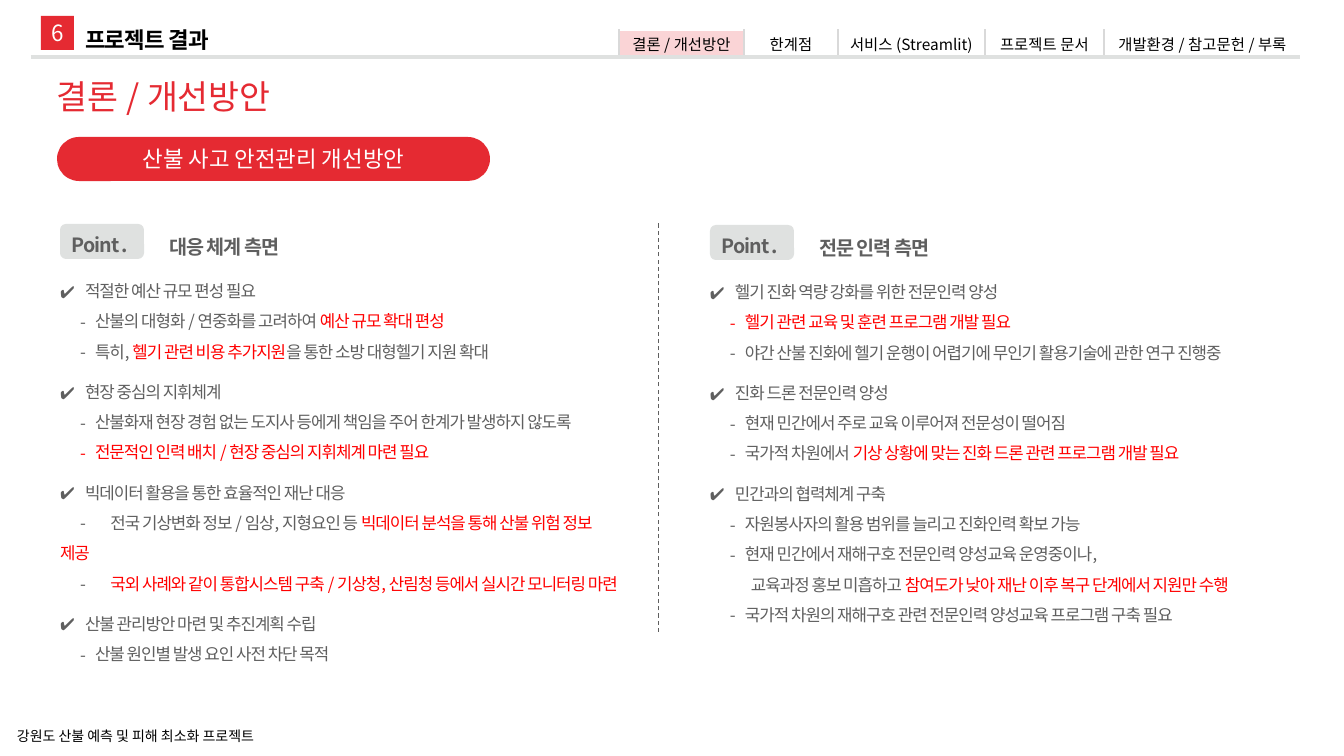
from lxml import etree
from pptx import Presentation
from pptx.dml.color import RGBColor
from pptx.enum.dml import MSO_LINE_DASH_STYLE as DASH
from pptx.enum.shapes import MSO_CONNECTOR, MSO_SHAPE as SHAPE
from pptx.enum.text import MSO_ANCHOR as ANCHOR, PP_ALIGN as ALIGN
from pptx.oxml.ns import qn
from pptx.util import Pt

PX = 914400 / 100.8
FONT = "Noto Sans CJK KR"
RED = RGBColor(0xE5, 0x2A, 0x32)
BRIGHT_RED = RGBColor(0xFF, 0x00, 0x00)
PINK = RGBColor(0xFA, 0xD4, 0xD6)
RULE_GRAY = RGBColor(0xDF, 0xE1, 0xE0)
TAB_GRAY = RGBColor(0xD9, 0xD9, 0xD9)
TEXT_GRAY = RGBColor(0x5F, 0x5F, 0x5F)
BLACK = RGBColor(0x00, 0x00, 0x00)
WHITE = RGBColor(0xFF, 0xFF, 0xFF)

TABS = [("결론 / 개선방안", 125), ("한계점", 94), ("서비스 (Streamlit)", 147),
        ("프로젝트 문서", 119), ("개발환경 / 참고문헌 / 부록", 197)]

INDENTS = {"check": (25, -25), "dash": (35, -15), "wrapped": (0, 20), "more": (41, 0)}
BULLETS = {"check": "✔", "dash": "-"}

RESPONSE = ("대응 체계 측면", [
    ("check", "적절한 예산 규모 편성 필요"),
    ("dash", "산불의 대형화 / 연중화를 고려하여 ", "예산 규모 확대 편성"),
    ("dash", "특히, ", "헬기 관련 비용 추가지원", "을 통한 소방 대형헬기 지원 확대"),
    ("check", "현장 중심의 지휘체계"),
    ("dash", "산불화재 현장 경험 없는 도지사 등에게 책임을 주어 한계가 발생하지 않도록"),
    ("dash", "", "전문적인 인력 배치 / 현장 중심의 지휘체계 마련 필요"),
    ("check", "빅데이터 활용을 통한 효율적인 재난 대응"),
    ("wrapped", "-\t전국 기상변화 정보 / 임상, 지형요인 등 ",
     "빅데이터 분석을 통해 산불 위험 정보 제공"),
    ("wrapped", "-\t",
     "국외 사례와 같이 통합시스템 구축 / 기상청, 산림청 등에서 실시간 모니터링 마련"),
    ("check", "산불 관리방안 마련 및 추진계획 수립"),
    ("dash", "산불 원인별 발생 요인 사전 차단 목적"),
])
EXPERTS = ("전문 인력 측면", [
    ("check", "헬기 진화 역량 강화를 위한 전문인력 양성"),
    ("dash", "", "헬기 관련 교육 및 훈련 프로그램 개발 필요"),
    ("dash", "야간 산불 진화에 헬기 운행이 어렵기에 무인기 활용기술에 관한 연구 진행중"),
    ("check", "진화 드론 전문인력 양성"),
    ("dash", "현재 민간에서 주로 교육 이루어져 전문성이 떨어짐"),
    ("dash", "국가적 차원에서 ", "기상 상황에 맞는 진화 드론 관련 프로그램 개발 필요"),
    ("check", "민간과의 협력체계 구축"),
    ("dash", "자원봉사자의 활용 범위를 늘리고 진화인력 확보 가능"),
    ("dash", "현재 민간에서 재해구호 전문인력 양성교육 운영중이나,"),
    ("more", "교육과정 홍보 미흡하고 ", "참여도가 낮아 재난 이후 복구 단계에서 지원만 수행"),
    ("dash", "국가적 차원의 재해구호 관련 전문인력 양성교육 프로그램 구축 필요"),
])


def px(*lengths):
    """Turn whole pixels into EMU."""
    return [round(length * PX) for length in lengths]


def write(paragraph, text, size=12, color=BLACK, bold=False, spacing=0, align=None):
    """Add a formatted run of text to a paragraph."""
    if align is not None:
        paragraph.alignment = align
    run = paragraph.add_run()
    run.text = text
    font = run.font
    font.size, font.bold, font.name = Pt(size), bold, FONT
    font.color.rgb = color
    props = run._r.get_or_add_rPr()
    etree.SubElement(props, qn("a:ea"), typeface=FONT)
    if spacing:
        props.set("spc", str(round(spacing * 100)))


def clear_frame(frame, anchor=ANCHOR.MIDDLE, wrap=True):
    """Remove the insets of a text frame and return its first paragraph."""
    frame.margin_left = frame.margin_top = frame.margin_right = frame.margin_bottom = 0
    frame.vertical_anchor, frame.word_wrap = anchor, wrap
    return frame.paragraphs[0]


def add_label(slide, box, text, wrap=False, **style):
    """Place a single line of text in a box."""
    label = slide.shapes.add_textbox(*px(*box))
    write(clear_frame(label.text_frame, wrap=wrap), text, **style)


def add_panel(slide, kind, box, fill, text, **style):
    """Place a filled shape with centred text."""
    panel = slide.shapes.add_shape(kind, *px(*box))
    panel.shadow.inherit = False
    panel.fill.solid()
    panel.fill.fore_color.rgb = fill
    panel.line.fill.background()
    write(clear_frame(panel.text_frame), text, align=ALIGN.CENTER, **style)
    return panel


def add_rule(slide, ends, color, width, dash=None):
    """Draw a straight line between two points."""
    rule = slide.shapes.add_connector(MSO_CONNECTOR.STRAIGHT, *px(*ends))
    rule.line.color.rgb, rule.line.width = color, Pt(width)
    if dash:
        rule.line.dash_style = dash
    etree.SubElement(rule._element.spPr, qn("a:effectLst"))


def add_tabs(slide, left, top, height):
    """Place the navigation table with the current tab tinted."""
    widths = [width for _, width in TABS]
    table = slide.shapes.add_table(1, len(TABS), *px(left, top, sum(widths), height)).table
    table.first_row = table.horz_banding = False
    table.rows[0].height = px(height)[0]
    for index, (name, width) in enumerate(TABS):
        table.columns[index].width = px(width)[0]
        cell = table.cell(0, index)
        cell.margin_left = cell.margin_right = cell.margin_top = cell.margin_bottom = 0
        cell.vertical_anchor = ANCHOR.MIDDLE
        write(cell.text_frame.paragraphs[0], name, size=11, align=ALIGN.CENTER)
        sides = ["a:lnL"] if index == len(TABS) - 1 else ["a:lnL", "a:lnR"]
        for side in sides:
            border = etree.SubElement(cell._tc.get_or_add_tcPr(), qn(side), w=str(Pt(2.25)))
            fill = etree.SubElement(border, qn("a:solidFill"))
            etree.SubElement(fill, qn("a:srgbClr"), val=str(TAB_GRAY))
        if index == 0:
            cell.fill.solid()
            cell.fill.fore_color.rgb = PINK
        else:
            cell.fill.background()


def add_header(slide, left, top, width):
    """Place the section number, section name, tabs and rule."""
    add_tabs(slide, left + 588, top + 14, 28)
    add_rule(slide, (left, top + 41, left + width, top + 41), RULE_GRAY, 2.25)
    add_panel(slide, SHAPE.RECTANGLE, (left + 10, top, 33, 34), RED, "6", size=16, color=WHITE)
    add_label(slide, (left + 54, top + 8, 126, 31), "프로젝트 결과",
              size=16, bold=True, spacing=-0.5)


def set_indent(paragraph, kind):
    """Give a point its indents, and its bullet or tab stop."""
    props = paragraph._p.get_or_add_pPr()
    margin, first = px(*INDENTS[kind])
    props.set("marL", str(margin))
    props.set("indent", str(first))
    if kind in BULLETS:
        etree.SubElement(props, qn("a:buFont"), typeface=FONT)
        etree.SubElement(props, qn("a:buChar"), char=BULLETS[kind])
    else:
        etree.SubElement(props, qn("a:buNone"))
    if kind == "wrapped":
        stops = etree.SubElement(props, qn("a:tabLst"))
        etree.SubElement(stops, qn("a:tab"), pos=str(px(35)[0]), algn="l")


def add_column(slide, left, top, width, height, heading, points):
    """Place a Point chip, its heading and the list below."""
    chip = add_panel(slide, SHAPE.ROUNDED_RECTANGLE, (left, top + 1, 84, 35), RULE_GRAY,
                     "Point .", size=14, color=TEXT_GRAY, bold=True, spacing=-0.7)
    chip.text_frame.margin_top, chip.text_frame.margin_right = px(6, 4)
    frame = slide.shapes.add_textbox(*px(left, top, width, height)).text_frame
    title = clear_frame(frame, anchor=ANCHOR.TOP)
    title._p.get_or_add_pPr().set("marL", str(px(109)[0]))
    title.line_spacing = Pt(25.2)
    write(title, heading, size=14, color=TEXT_GRAY, bold=True, spacing=-0.7)
    for index, (kind, *parts) in enumerate(points):
        point = frame.add_paragraph()
        set_indent(point, kind)
        point.line_spacing = Pt(21.6)
        if kind == "check":
            point.space_before = Pt(7.2 if index else 9)
        for place, part in enumerate(parts):
            if part:
                write(point, part, color=BRIGHT_RED if place % 2 else TEXT_GRAY, spacing=-0.7)


def main():
    """Build the slide and save it."""
    deck = Presentation()
    deck.slide_width, deck.slide_height = px(1344, 756)
    slide = deck.slides.add_slide(deck.slide_layouts[6])
    add_header(slide, 31, 16, 1269)
    add_label(slide, (57, 76, 445, 40), "결론 / 개선방안", wrap=True, size=24, color=RED)
    topic = add_panel(slide, SHAPE.ROUNDED_RECTANGLE, (57, 137, 433, 44), RED,
                      "산불 사고 안전관리 개선방안", size=16, color=WHITE)
    topic.adjustments[0] = 0.5
    add_rule(slide, (659, 632, 659, 221), TEXT_GRAY, 0.75, DASH.DASH)
    add_column(slide, 60, 223, 558, 474, *RESPONSE)
    add_column(slide, 710, 224, 558, 402, *EXPERTS)
    add_label(slide, (17, 727, 244, 17), "강원도 산불 예측 및 피해 최소화 프로젝트", size=10)
    deck.save("out.pptx")


if __name__ == "__main__":
    main()
